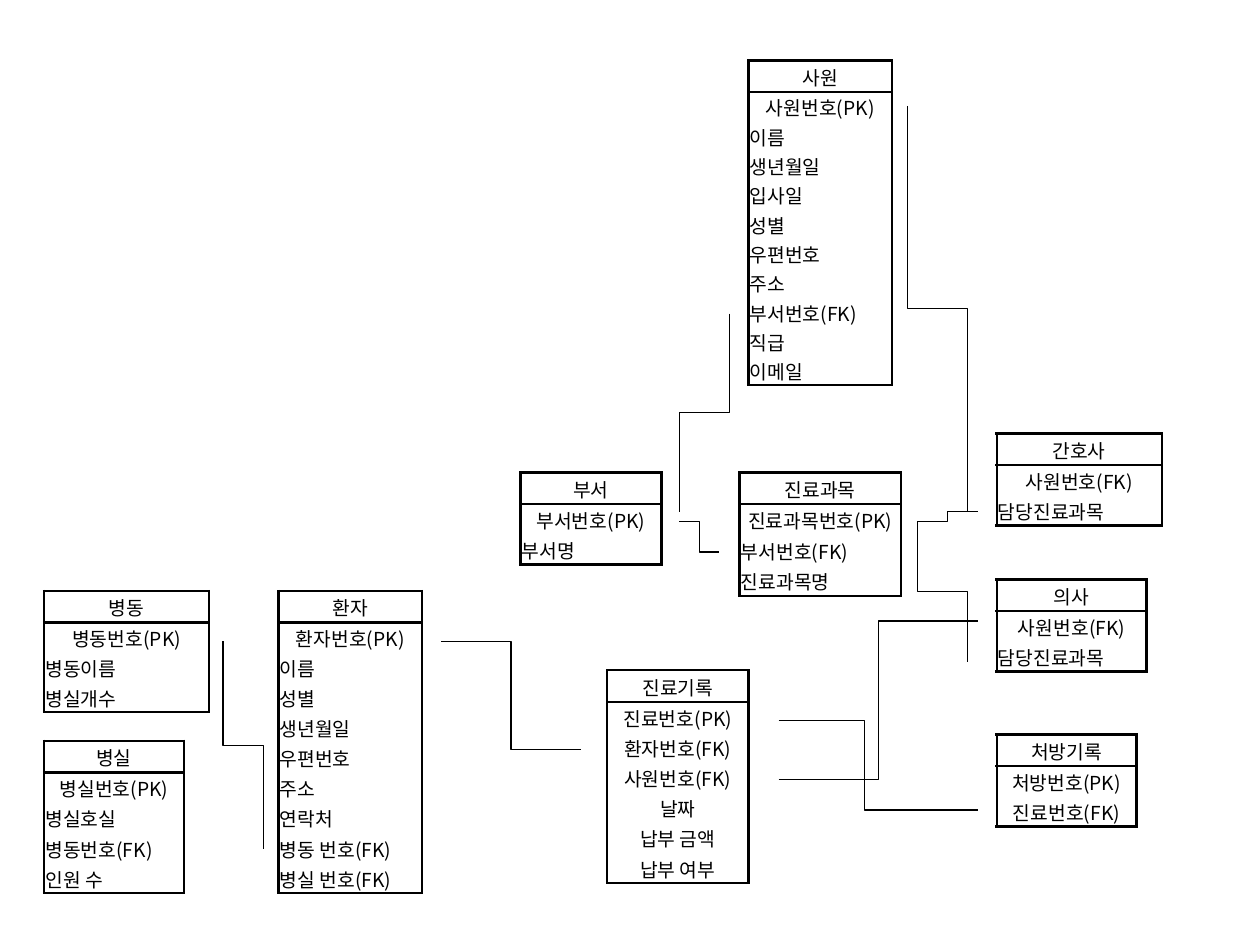
from dataclasses import dataclass

from lxml.etree import SubElement
from pptx import Presentation
from pptx.dml.color import RGBColor
from pptx.enum.shapes import MSO_CONNECTOR
from pptx.enum.text import MSO_ANCHOR, PP_ALIGN
from pptx.oxml.ns import qn
from pptx.util import Inches, Pt


@dataclass
class Theme:
    """Colours, type and line sizes."""
    ink: str = "000000"
    font: str = "Noto Sans CJK KR"
    size: float = 11
    edge: float = 1.5
    link: float = 0.75


theme = Theme()
HEAD = 0.25

# left, top, width, height, centred rows, texts (name first)
tables = [
    (5.94, 0.48, 1.14, 2.58, 2, ["사원", "사원번호(PK)", "이름", "생년월일", "입사일", "성별",
                                 "우편번호", "주소", "부서번호(FK)", "직급", "이메일"]),
    (7.91, 4.6, 1.19, 0.73, 2, ["의사", "사원번호(FK)", "담당진료과목"]),
    (7.91, 3.44, 1.31, 0.73, 2, ["간호사", "사원번호(FK)", "담당진료과목"]),
    (0.35, 5.88, 1.11, 1.21, 2, ["병실", "병실번호(PK)", "병실호실", "병동번호(FK)", "인원 수"]),
    (0.35, 4.69, 1.31, 0.96, 2, ["병동", "병동번호(PK)", "병동이름", "병실개수"]),
    (4.13, 3.75, 1.12, 0.73, 2, ["부서", "부서번호(PK)", "부서명"]),
    (4.82, 5.32, 1.12, 1.69, 7, ["진료기록", "진료번호(PK)", "환자번호(FK)", "사원번호(FK)",
                                 "날짜", "납부 금액", "납부 여부"]),
    (7.91, 5.83, 1.11, 0.73, 3, ["처방기록", "처방번호(PK)", "진료번호(FK)"]),
    (5.87, 3.75, 1.28, 0.98, 2, ["진료과목", "진료과목번호(PK)", "부서번호(FK)", "진료과목명"]),
    (2.21, 4.69, 1.14, 2.4, 2, ["환자", "환자번호(PK)", "이름", "성별", "생년월일", "우편번호",
                                "주소", "연락처", "병동 번호(FK)", "병실 번호(FK)"]),
]

# start x, start y, end x, end y, leaves downwards, place of the bend
links = [
    (7.28, 4.14, 7.68, 5.25, True, 0.5),
    (5.39, 4.14, 5.71, 4.38, False, 0.5),
    (7.28, 4.14, 7.76, 4.06, False, 0.5),
    (5.79, 2.49, 5.39, 4.06, True, 0.5),
    (7.2, 0.84, 7.68, 4.06, True, 0.5),
    (6.18, 6.19, 7.76, 4.93, False, 0.5),
    (4.61, 5.95, 3.5, 5.09, False, 0.5),
    (6.18, 5.72, 7.76, 6.43, False, 0.43),
    (1.77, 5.09, 2.09, 6.74, True, 0.5),
]


def border(cell, sides):
    """Draw the named sides of a cell and clear the others."""
    props = cell._tc.get_or_add_tcPr()
    for side in "LRTB":
        line = SubElement(props, qn("a:ln" + side), w=str(Pt(theme.edge)))
        if side in sides:
            fill = SubElement(line, qn("a:solidFill"))
            SubElement(fill, qn("a:srgbClr"), val=theme.ink)
        else:
            SubElement(line, qn("a:noFill"))


def connect(shapes, x1, y1, x2, y2, down, bend):
    """Add an elbow line, turned a quarter when it leaves downwards."""
    turn = 0
    if down:
        turn = 270 if x2 > x1 else 90
        sign = 1 if x2 > x1 else -1
        mid, half = (x1 + x2) / 2, sign * (y2 - y1) / 2
        row, rise = (y1 + y2) / 2, abs(x2 - x1) / 2
        x1, x2, y1, y2 = mid + half, mid - half, row - rise, row + rise
    line = shapes.add_connector(MSO_CONNECTOR.ELBOW, Inches(x1), Inches(y1),
                                Inches(x2), Inches(y2))
    line.line.color.rgb = RGBColor.from_string(theme.ink)
    line.line.width = Pt(theme.link)
    props = line._element.spPr
    SubElement(props, qn("a:effectLst"))
    if turn:
        props.find(qn("a:xfrm")).set("rot", str(turn * 60000))
    if bend != 0.5:
        marks = props.find(qn("a:prstGeom")).find(qn("a:avLst"))
        SubElement(marks, qn("a:gd"), name="adj1", fmla=f"val {round(bend * 100000)}")


deck = Presentation()
deck.slide_width, deck.slide_height = Inches(10), Inches(7.5)
slide = deck.slides.add_slide(deck.slide_layouts[6])

for left, top, width, height, mids, texts in tables:
    last = len(texts) - 1
    grid = slide.shapes.add_table(len(texts), 1, Inches(left), Inches(top),
                                  Inches(width), Inches(height)).table
    grid.horz_banding = False
    for i, text in enumerate(texts):
        grid.rows[i].height = Inches((height - HEAD) / last if i else HEAD)
        cell = grid.cell(i, 0)
        border(cell, "LR" + "T" * (i < 2) + "B" * (i in (0, last)))
        cell.fill.background()
        cell.vertical_anchor = MSO_ANCHOR.MIDDLE
        cell.margin_left = cell.margin_right = cell.margin_top = Inches(0.01)
        cell.margin_bottom = 0
        para = cell.text_frame.paragraphs[0]
        para.alignment = PP_ALIGN.CENTER if i < mids else PP_ALIGN.LEFT
        run = para.add_run()
        run.text = text
        run.font.size = Pt(theme.size)
        run.font.bold = False
        run.font.name = theme.font
        run.font.color.rgb = RGBColor.from_string(theme.ink)
        SubElement(run.font._element, qn("a:ea"), typeface=theme.font)

for link in links:
    connect(slide.shapes, *link)

deck.save("out.pptx")
